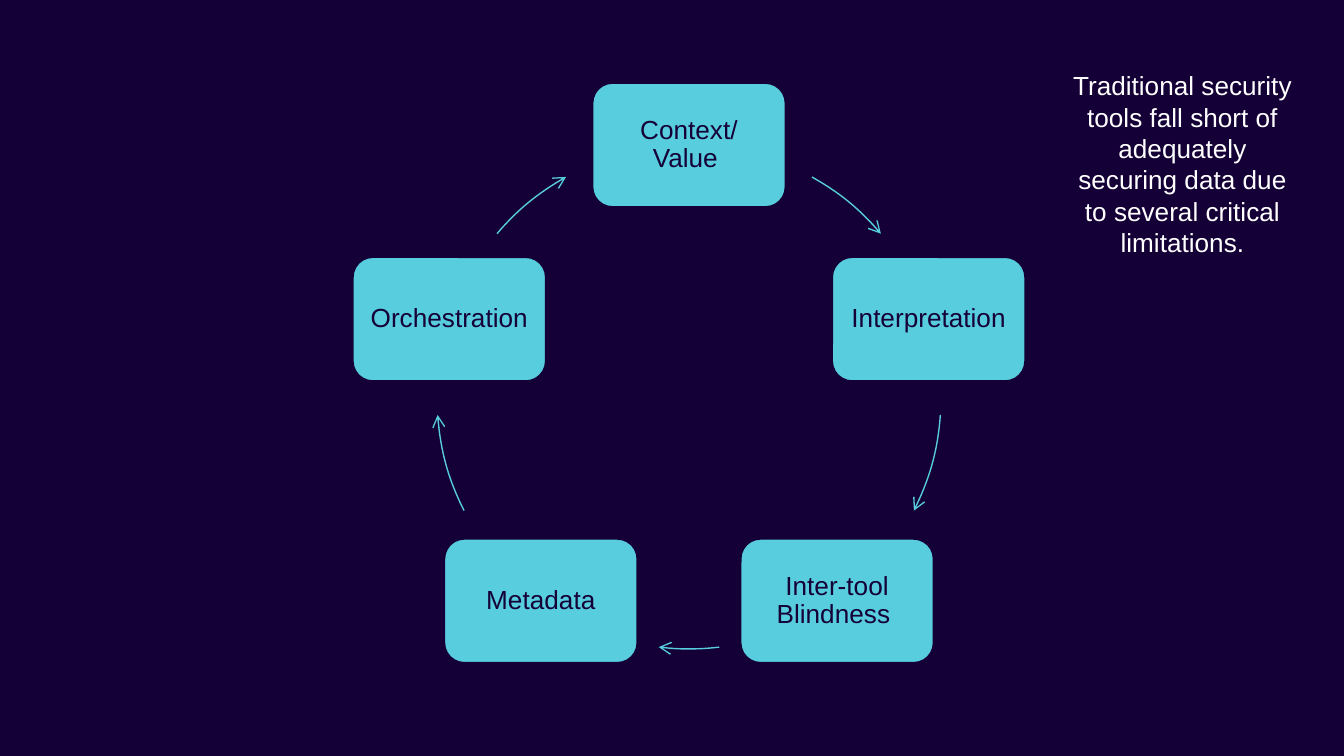
import pptx
import pptx.dml.color
import pptx.enum.shapes
import pptx.enum.text
import pptx.oxml.ns
import pptx.util
import lxml.etree
import math

SCALE = 914400 / 134.4
NAVY, AQUA, WHITE = "140036", "57CDDD", "FFFFFF"
CENTER_X, CENTER_Y, RADIUS = 689, 397, 252
NODE_WIDTH, NODE_HEIGHT = 195, 126
LIMITATIONS = [
    "Context/ Value ",
    "Interpretation",
    "Inter-tool Blindness ",
    "Metadata",
    "Orchestration",
]
ARROW_ANGLES = [(29.2, 49.6), (94.1, 116.8), (173.1, 186.9), (243.2, 265.9), (310.4, 330.8)]
INTRO = (
    "Traditional security tools fall short of adequately securing data "
    "due to several critical limitations."
)


def px(length):
    return pptx.util.Emu(round(length * SCALE))


def color(value):
    return pptx.dml.color.RGBColor.from_string(value)


def set_values(target, values):
    for name, value in values.items():
        setattr(target, name, value)


def add_shape(slide, kind, box, line_color, line_width):
    shape = slide.shapes.add_shape(kind, *map(px, box))
    shape.shadow.inherit = False
    shape.line.color.rgb = color(line_color)
    shape.line.width = pptx.util.Pt(line_width)
    return shape


def write_text(shape, text, text_color, frame_values, paragraph_values):
    frame = shape.text_frame
    set_values(frame, {"word_wrap": True, **frame_values})
    paragraph = frame.paragraphs[0]
    paragraph.text = text
    set_values(paragraph, {"alignment": pptx.enum.text.PP_ALIGN.CENTER, **paragraph_values})
    font = paragraph.runs[0].font
    set_values(font, {"name": "Arial", "size": pptx.util.Pt(14)})
    font.color.rgb = color(text_color)


def add_node(slide, text, angle):
    left = CENTER_X + RADIUS * math.sin(angle) - NODE_WIDTH / 2
    top = CENTER_Y - RADIUS * math.cos(angle) - NODE_HEIGHT / 2
    kind = pptx.enum.shapes.MSO_SHAPE.ROUNDED_RECTANGLE
    node = add_shape(slide, kind, (left, top, NODE_WIDTH, NODE_HEIGHT), NAVY, 2)
    node.fill.solid()
    node.fill.fore_color.rgb = color(AQUA)
    margins = {f"margin_{side}": px(8) for side in ("left", "top", "right", "bottom")}
    anchor = {"vertical_anchor": pptx.enum.text.MSO_ANCHOR.MIDDLE}
    write_text(node, text, NAVY, {**margins, **anchor}, {"line_spacing": 0.9})


def add_arc_arrow(slide, angles):
    box = (CENTER_X - RADIUS, CENTER_Y - RADIUS, 2 * RADIUS, 2 * RADIUS)
    arc = add_shape(slide, pptx.enum.shapes.MSO_SHAPE.ARC, box, AQUA, 0.75)
    arc.fill.background()
    for index, angle in enumerate(angles):
        arc.adjustments[index] = (angle - 90) % 360 * 0.6
    line = arc.line._get_or_add_ln()
    lxml.etree.SubElement(line, pptx.oxml.ns.qn("a:tailEnd"), type="arrow")


def add_intro(slide):
    textbox = slide.shapes.add_textbox(*map(px, (1056, 63, 253, 203)))
    grow = {"auto_size": pptx.enum.text.MSO_AUTO_SIZE.SHAPE_TO_FIT_TEXT}
    write_text(textbox, INTRO, WHITE, grow, {})


def main():
    presentation = pptx.Presentation()
    set_values(presentation, {"slide_width": px(1344), "slide_height": px(756)})
    slide = presentation.slides.add_slide(presentation.slide_layouts[6])
    slide.background.fill.solid()
    slide.background.fill.fore_color.rgb = color(NAVY)
    for index, (text, angles) in enumerate(zip(LIMITATIONS, ARROW_ANGLES)):
        add_node(slide, text, index * math.tau / len(LIMITATIONS))
        add_arc_arrow(slide, angles)
    add_intro(slide)
    presentation.save("out.pptx")


if __name__ == "__main__":
    main()
